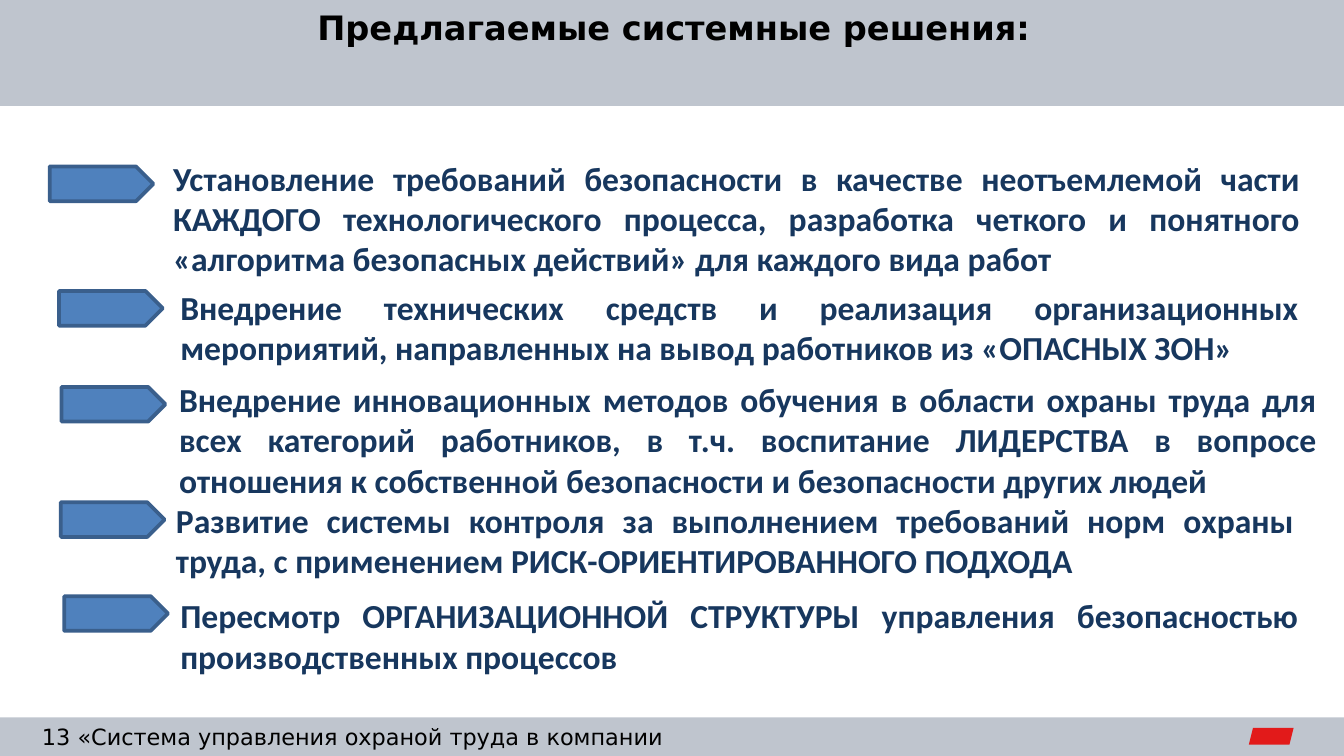
from dataclasses import dataclass

from pptx import Presentation
from pptx.dml.color import RGBColor
from pptx.enum.shapes import MSO_SHAPE
from pptx.enum.text import MSO_ANCHOR, PP_ALIGN
from pptx.util import Pt

RECT, ARROW, SLANT = MSO_SHAPE.RECTANGLE, MSO_SHAPE.PENTAGON, MSO_SHAPE.PARALLELOGRAM
TOP, MIDDLE = MSO_ANCHOR.TOP, MSO_ANCHOR.MIDDLE
LEFT, CENTER, JUSTIFY = PP_ALIGN.LEFT, PP_ALIGN.CENTER, PP_ALIGN.JUSTIFY


@dataclass(frozen=True)
class Theme:
    band: str = "BFC5CE"
    arrow: str = "4F81BD"
    edge: str = "3A5F8C"
    ink: str = "17375E"
    black: str = "000000"
    red: str = "E21A1A"
    head: str = "DejaVu Sans"
    body: str = "Calibri"
    large: int = 18
    small: int = 12


def write(shape, text, *, font, size, color, bold=False, align=LEFT,
          anchor=TOP, inset=7.2):
    frame = shape.text_frame
    frame.word_wrap = True
    frame.vertical_anchor = anchor
    frame.margin_left, frame.margin_right = Pt(inset), Pt(7.2)
    frame.margin_top = frame.margin_bottom = Pt(3.6)
    para = frame.paragraphs[0]
    para.alignment = align
    run = para.add_run()
    run.text = text
    run.font.name, run.font.size, run.font.bold = font, Pt(size), bold
    run.font.color.rgb = RGBColor.from_string(color)


class Page:
    def __init__(self, slide, theme):
        self.slide, self.theme = slide, theme

    def shape(self, kind, x, y, w, h, fill, edge=None):
        item = self.slide.shapes.add_shape(kind, Pt(x), Pt(y), Pt(w), Pt(h))
        item.shadow.inherit = False
        item.fill.solid()
        item.fill.fore_color.rgb = RGBColor.from_string(fill)
        if edge:
            item.line.color.rgb = RGBColor.from_string(edge)
            item.line.width = Pt(2)
        else:
            item.line.fill.background()
        return item

    def title(self, text):
        """Fill the title placeholder and bring it in front of the band."""
        item = self.slide.shapes.title
        item.left, item.top, item.width, item.height = Pt(0), Pt(0), Pt(722), Pt(51)
        tree = item.element.getparent()
        tree.append(item.element)
        write(item, text, font=self.theme.head, size=self.theme.large,
              color=self.theme.black, bold=True, align=CENTER)

    def footer(self, text):
        bar = self.shape(RECT, 0, 384.3, 720, 20.7, self.theme.band)
        write(bar, text, font=self.theme.head, size=self.theme.small,
              color=self.theme.black, anchor=MIDDLE, inset=22.5)

    def point(self, text, mark, box):
        """Add an arrow at mark (x, y) and its text in box (x, y, w, h)."""
        self.shape(ARROW, *mark, 55.6, 18.6, self.theme.arrow, self.theme.edge)
        item = self.slide.shapes.add_textbox(*map(Pt, box))
        write(item, text, font=self.theme.body, size=self.theme.large,
              color=self.theme.ink, bold=True, align=JUSTIFY)


POINTS = [
    ("Установление требований безопасности в качестве неотъемлемой части "
     "КАЖДОГО технологического процесса, разработка четкого и понятного "
     "«алгоритма безопасных действий» для каждого вида работ",
     (26.6, 89.2), (85.6, 80.8, 618.2, 72.7)),
    ("Внедрение технических средств и реализация организационных "
     "мероприятий, направленных на вывод работников из «ОПАСНЫХ ЗОН»",
     (31.6, 155.9), (89.5, 150.2, 613.5, 50.9)),
    ("Внедрение инновационных методов обучения в области охраны труда для "
     "всех категорий работников, в т.ч. воспитание ЛИДЕРСТВА в вопросе "
     "отношения к собственной безопасности и безопасности других людей",
     (33, 207.3), (88.9, 199.4, 623.9, 72.7)),
    ("Развитие системы контроля за выполнением требований норм охраны "
     "труда, с применением РИСК-ОРИЕНТИРОВАННОГО ПОДХОДА",
     (32.6, 269.1), (87.2, 264.2, 613.5, 72.7)),
    ("Пересмотр ОРГАНИЗАЦИОННОЙ СТРУКТУРЫ управления безопасностью "
     "производственных процессов",
     (34.4, 319.4), (89.5, 315.3, 613.5, 72.7)),
]


def main():
    deck = Presentation()
    deck.slide_width, deck.slide_height = Pt(720), Pt(405)
    theme = Theme()
    page = Page(deck.slides.add_slide(deck.slide_layouts[5]), theme)
    page.shape(RECT, -1.4, -2.9, 721.4, 59.7, theme.band)
    page.footer("13 «Система управления охраной труда в компании")
    page.shape(SLANT, 669, 390, 24, 9, theme.red)
    page.title("Предлагаемые системные решения:")
    for text, mark, box in POINTS:
        page.point(text, mark, box)
    deck.save("out.pptx")


if __name__ == "__main__":
    main()
